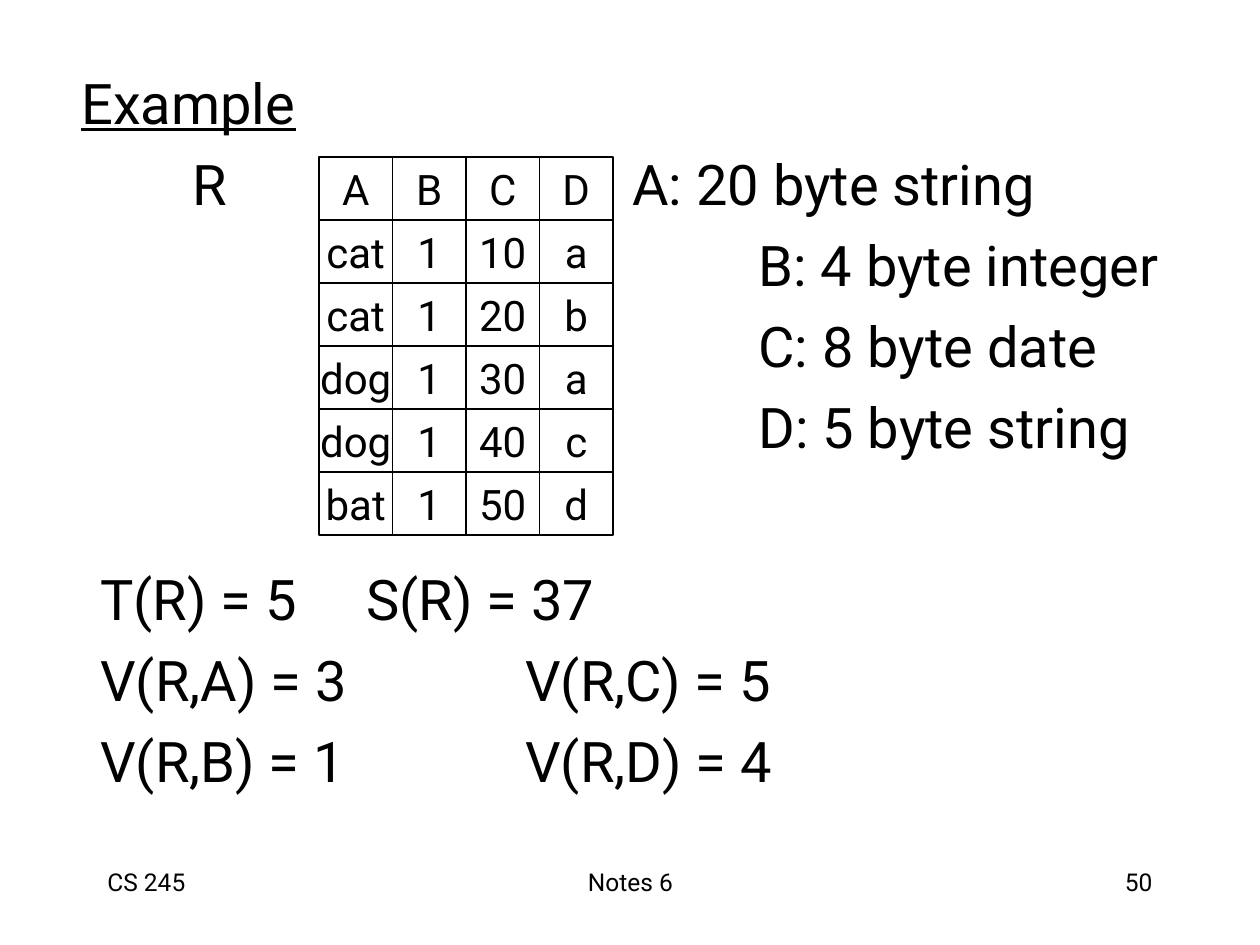
from lxml.etree import SubElement
from pptx import Presentation
from pptx.dml.color import RGBColor
from pptx.enum.shapes import MSO_SHAPE
from pptx.enum.text import MSO_ANCHOR, PP_ALIGN
from pptx.oxml.ns import qn
from pptx.util import Pt

PX = 914400 / 126
THEME = {
    "font": "Roboto",
    "ink": RGBColor(0, 0, 0),
    "paper": RGBColor(255, 255, 255),
    "body": Pt(32),
    "cell": Pt(24),
    "footer": Pt(14),
    "gap": Pt(8),
    "border": Pt(0.75),
}


def px(n):
    return round(n * PX)


def write(tf, lines, size, align=PP_ALIGN.LEFT, tabs=()):
    """Fill a text frame, one paragraph a line, with tab stops in px."""
    for i, line in enumerate(lines):
        p = tf.add_paragraph() if i else tf.paragraphs[0]
        if tabs:
            tab_list = SubElement(p._p.get_or_add_pPr(), qn("a:tabLst"))
            for stop in tabs:
                SubElement(tab_list, qn("a:tab"), pos=str(px(stop)), algn="l")
        if i:
            p.space_before = THEME["gap"]
        p.alignment = align
        r = p.add_run()
        r.text = line
        r.font.name = THEME["font"]
        r.font.size = size
        r.font.color.rgb = THEME["ink"]


prs = Presentation()
prs.slide_width, prs.slide_height = px(1260), px(945)
s = prs.slides.add_slide(prs.slide_layouts[6])

# Text blocks: box, lines, size, alignment, tab stops
schema = ["Example", "\tR\tA: 20 byte string", "\t\t\tB: 4 byte integer",
          "\t\t\tC: 8 byte date", "\t\t\tD: 5 byte string"]
statistics = ["T(R) = 5\tS(R) = 37", "V(R,A) = 3\t\tV(R,C) = 5",
              "V(R,B) = 1\t\tV(R,D) = 4"]
blocks = [
    ((69, 62, 1113, 505), schema, "body", PP_ALIGN.LEFT, (111, 551, 677)),
    ((88, 558, 1071, 268), statistics, "body", PP_ALIGN.LEFT, (266, 425)),
    ((431, 861, 399, 63), ["Notes 6"], "footer", PP_ALIGN.CENTER, ()),
    ((903, 861, 262, 63), ["50"], "footer", PP_ALIGN.RIGHT, ()),
    ((95, 861, 262, 63), ["CS 245"], "footer", PP_ALIGN.LEFT, ()),
]
for box, lines, size, align, tabs in blocks:
    sp = s.shapes.add_textbox(*map(px, box))
    tf = sp.text_frame
    tf.word_wrap = True
    write(tf, lines, THEME[size], align, tabs)
    if lines is schema:
        tf.paragraphs[0].runs[0].font.underline = True

# Relation R, drawn as a grid of boxes
relation = [
    ("A", "B", "C", "D"),
    ("cat", "1", "10", "a"),
    ("cat", "1", "20", "b"),
    ("dog", "1", "30", "a"),
    ("dog", "1", "40", "c"),
    ("bat", "1", "50", "d"),
]
left, top = px(319), px(157)
col_width, row_height = px(294) // 4, px(63)
for row, values in enumerate(relation):
    for col, value in enumerate(values):
        sp = s.shapes.add_shape(MSO_SHAPE.RECTANGLE, left + col * col_width,
                                top + row * row_height, col_width, row_height)
        sp.shadow.inherit = False
        sp.fill.solid()
        sp.fill.fore_color.rgb = THEME["paper"]
        sp.line.color.rgb = THEME["ink"]
        sp.line.width = THEME["border"]
        tf = sp.text_frame
        tf.word_wrap = False
        tf.vertical_anchor = MSO_ANCHOR.MIDDLE
        write(tf, [value], THEME["cell"], PP_ALIGN.CENTER)

prs.save("out.pptx")
